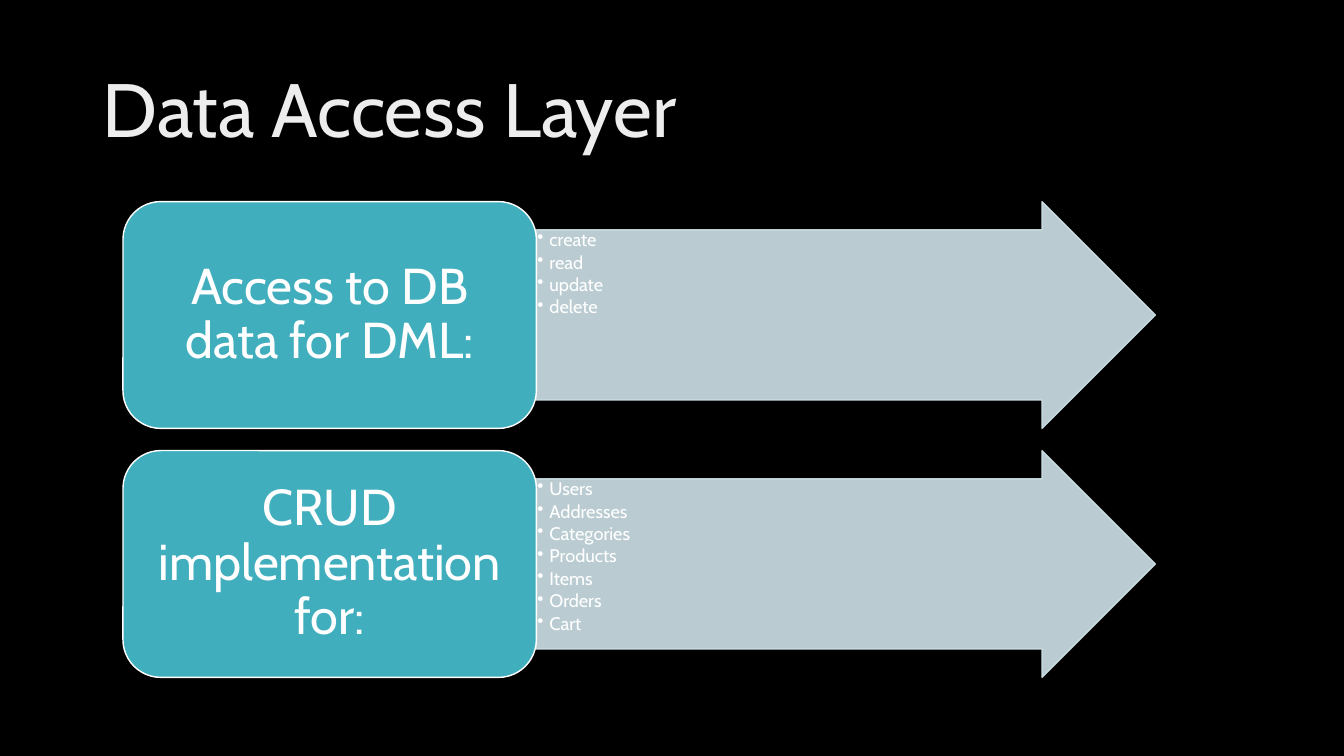
"""Build the Data Access Layer slide."""
from lxml import etree
from pptx import Presentation
from pptx.dml.color import RGBColor
from pptx.enum.shapes import MSO_SHAPE
from pptx.enum.text import MSO_ANCHOR, PP_ALIGN
from pptx.oxml.ns import qn
from pptx.util import Inches, Pt

BOX, ARROW = MSO_SHAPE.ROUNDED_RECTANGLE, MSO_SHAPE.RIGHT_ARROW
LEFT, CENTER = PP_ALIGN.LEFT, PP_ALIGN.CENTER
TOP, MIDDLE = MSO_ANCHOR.TOP, MSO_ANCHOR.MIDDLE

TITLE = "Data Access Layer"
ROWS = [
    ("Access to DB data for DML:", ["create", "read", "update", "delete"]),
    ("CRUD implementation for:",
     ["Users", "Addresses", "Categories", "Products", "Items", "Orders", "Cart"]),
]
FONT = "Cabin"
BLACK, WHITE, PALE, TEAL, MIST = "000000", "FFFFFF", "EDEDED", "41AEBD", "CFE3E8"
WIDE, HIGH = 13.33, 7.5
START, STEP, TALL = 2, 2.47, 2.25
EDGE, LABEL, BODY = 1.22, 4.1, 6.14
SOLID = 90


def color(code):
    return RGBColor.from_string(code)


def fade(paint):
    for node in paint.iter(qn("a:srgbClr")):
        etree.SubElement(node, qn("a:alpha"), val=str(SOLID * 1000))


def write(frame, lines, size, code, align, anchor, pad=(0.1, 0.05), bullet=False):
    frame.word_wrap = True
    frame.vertical_anchor = anchor
    frame.margin_left = frame.margin_right = Inches(pad[0])
    frame.margin_top = frame.margin_bottom = Inches(pad[1])
    for i, line in enumerate(lines):
        para = frame.add_paragraph() if i else frame.paragraphs[0]
        para.alignment, para.line_spacing = align, 0.9
        run = para.add_run()
        run.text = line
        run.font.name, run.font.size = FONT, Pt(size)
        run.font.color.rgb = color(code)
        if bullet:
            para.level = 1
            para.space_after = Pt(size * 0.15)
            props = para._p.get_or_add_pPr()
            props.set("marL", str(Inches(0.12)))
            props.set("indent", str(-Inches(0.12)))
            etree.SubElement(props, qn("a:buChar"), char="•")


def draw(slide, kind, left, top, width, fill, line):
    shape = slide.shapes.add_shape(
        kind, Inches(left), Inches(top), Inches(width), Inches(TALL))
    shape.shadow.inherit = False
    shape.fill.solid()
    shape.fill.fore_color.rgb = color(fill)
    shape.line.color.rgb = color(line)
    shape.line.width = Pt(1)
    return shape


def main():
    deck = Presentation()
    deck.slide_width, deck.slide_height = Inches(WIDE), Inches(HIGH)
    slide = deck.slides.add_slide(deck.slide_layouts[5])
    back = slide.background.fill
    back.solid()
    back.fore_color.rgb = color(BLACK)

    title = slide.shapes.title
    title.left, title.top = Inches(0.92), Inches(0.4)
    title.width, title.height = Inches(11.5), Inches(1.45)
    write(title.text_frame, [TITLE], 54, PALE, LEFT, MIDDLE)

    for i, (name, items) in enumerate(ROWS):
        top = START + i * STEP
        arrow = draw(slide, ARROW, EDGE + LABEL, top, BODY, MIST, MIST)
        arrow.adjustments[0], arrow.adjustments[1] = 0.75, 0.5
        fade(arrow._element.spPr)
        write(arrow.text_frame, items, 13, WHITE, LEFT, TOP, (0.01, 0.01), True)
        box = draw(slide, BOX, EDGE, top, LABEL, TEAL, WHITE)
        write(box.text_frame, [name], 36, WHITE, CENTER, MIDDLE, (0.15, 0.07))

    deck.save("out.pptx")


if __name__ == "__main__":
    main()
